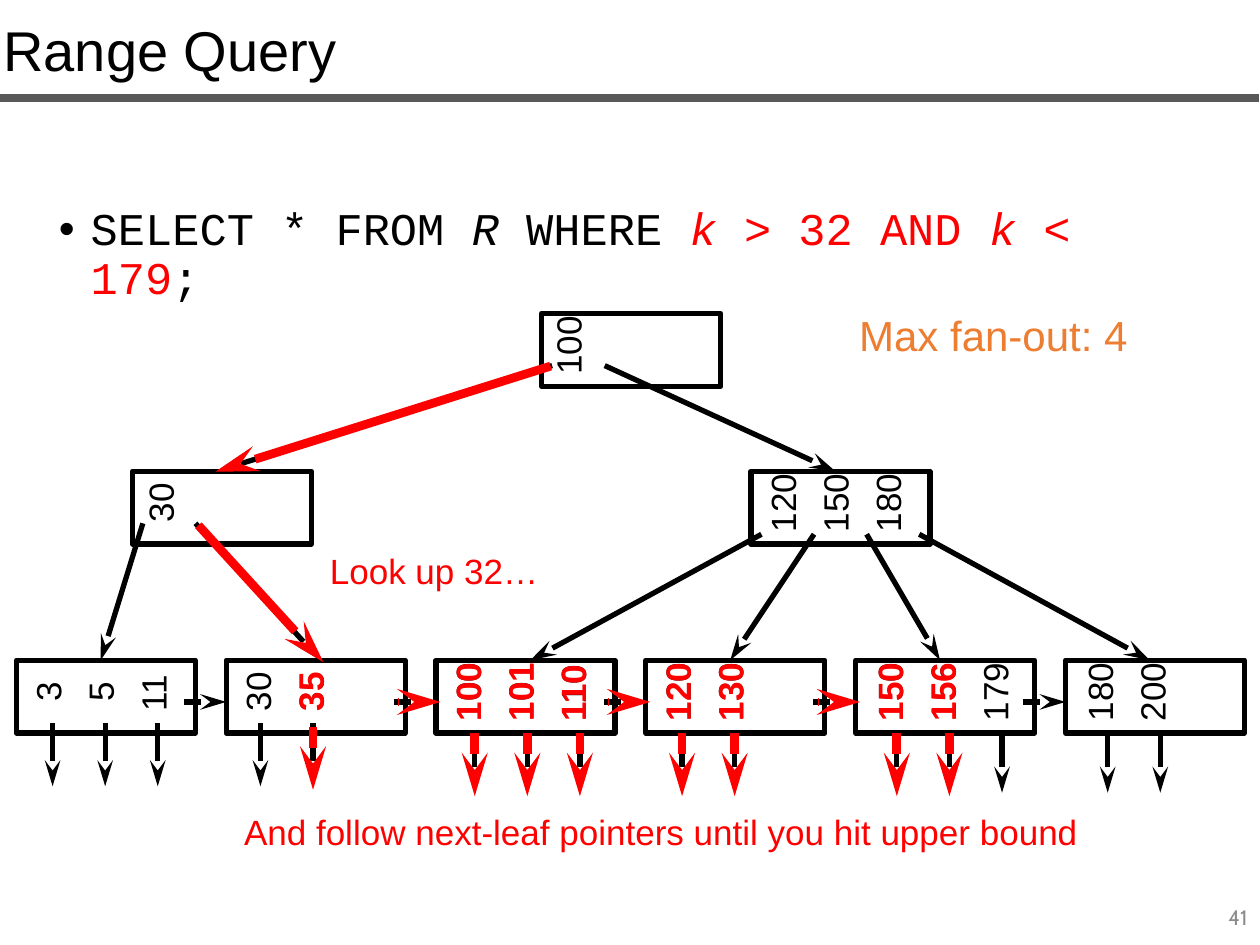
from dataclasses import dataclass

from lxml.etree import SubElement
from pptx import Presentation
from pptx.dml.color import RGBColor
from pptx.enum.shapes import MSO_CONNECTOR, MSO_SHAPE
from pptx.enum.text import MSO_ANCHOR, MSO_AUTO_SIZE, PP_ALIGN
from pptx.oxml.ns import qn
from pptx.util import Cm, Pt

BLACK = RGBColor(0x00, 0x00, 0x00)
RED = RGBColor(0xFF, 0x00, 0x00)
ORANGE = RGBColor(0xED, 0x7D, 0x31)
DARK_GRAY = RGBColor(0x59, 0x59, 0x59)
LIGHT_GRAY = RGBColor(0x8C, 0x8C, 0x8C)

# Tree geometry in centimetres
NODE_WIDTH, NODE_HEIGHT = 3.61, 1.47
KEY_WIDTH, KEY_PITCH = 1.37, 1.06
KEY_HEIGHTS = {1: 0.66, 2: 1.04, 3: 1.45}  # by number of digits
ROOT_TOP, INNER_TOP, LEAF_TOP = 6.32, 9.5, 13.31
LEAF_LEFT, LEAF_PITCH = 0.33, 4.23
NEXT_Y, NEXT_LENGTH = 14.15, 0.85
POINTER_LENGTH = 1.27
THIN, THICK = 3, 5


@dataclass
class Node:
    left: float
    top: float
    keys: tuple[int, ...]
    key_offset: float = 0.76
    entry: float = 1.7         # where the parent's arrow arrives
    exit_drop: float = 1.05    # where child arrows start, below the top
    pointer_offset: float = 0.73
    pointer_top: float = 14.71
    matches: tuple[int, ...] = ()
    children: tuple["Node", ...] = ()


@dataclass
class Label:
    text: str
    left: float
    top: float
    width: float
    height: float
    color: RGBColor
    size: float
    wrap: bool = False


def style_font(font, color: RGBColor, **values) -> None:
    font.color.rgb = color
    for name, value in values.items():
        setattr(font, name, value)


def add_text_box(shapes, left: float, top: float, width: float, height: float, **frame_values):
    box = shapes.add_textbox(Cm(left), Cm(top), Cm(width), Cm(height))
    for name, value in frame_values.items():
        setattr(box.text_frame, name, value)
    return box


def add_label(shapes, label: Label) -> None:
    box = add_text_box(shapes, label.left, label.top, label.width, label.height,
                       word_wrap=label.wrap, auto_size=MSO_AUTO_SIZE.SHAPE_TO_FIT_TEXT)
    span = box.text_frame.paragraphs[0].add_run()
    span.text = label.text
    style_font(span.font, label.color, name="Arial", size=Pt(label.size))


def add_line(shapes, start: tuple[float, float], end: tuple[float, float],
             color: RGBColor, weight: float, arrow: bool = True) -> None:
    line = shapes.add_connector(MSO_CONNECTOR.STRAIGHT, *map(Cm, start + end))
    line.line.color.rgb = color
    line.line.width = Pt(weight)
    if arrow:
        SubElement(line.line._get_or_add_ln(), qn("a:tailEnd"), type="stealth", w="med", len="lg")
    SubElement(line._element.spPr, qn("a:effectLst"))


def add_node_box(shapes, node: Node) -> None:
    box = shapes.add_shape(MSO_SHAPE.RECTANGLE, Cm(node.left), Cm(node.top),
                           Cm(NODE_WIDTH), Cm(NODE_HEIGHT))
    box.shadow.inherit = False
    box.fill.background()
    box.line.color.rgb = BLACK
    box.line.width = Pt(THIN)


def add_key(shapes, node: Node, index: int, color: RGBColor, bold: bool = False) -> None:
    """Write one key upwards inside its node."""
    text = str(node.keys[index])
    height = KEY_HEIGHTS[len(text)]
    center = node.left + node.key_offset + index * KEY_PITCH
    box = add_text_box(shapes, center - KEY_WIDTH / 2, node.top + (NODE_HEIGHT - height) / 2 + 0.02,
                       KEY_WIDTH, height, word_wrap=False,
                       auto_size=MSO_AUTO_SIZE.SHAPE_TO_FIT_TEXT)
    box.rotation = 180
    box.text_frame._txBody.bodyPr.set("vert", "eaVert")
    para = box.text_frame.paragraphs[0]
    para.alignment = PP_ALIGN.CENTER
    span = para.add_run()
    span.text = text
    style_font(span.font, color, name="Arial", size=Pt(20), bold=bold)


def add_child_arrow(shapes, parent: Node, index: int, color: RGBColor, weight: float,
                    shift: tuple[float, float] = (0, 0)) -> None:
    child = parent.children[index]
    across, down = shift
    add_line(shapes,
             (parent.left + 0.21 + index * KEY_PITCH + across, parent.top + parent.exit_drop + down),
             (child.left + child.entry + across, child.top + down), color, weight)


def add_record_pointer(shapes, leaf: Node, index: int, color: RGBColor, weight: float,
                       down: float = 0) -> None:
    x = leaf.left + leaf.pointer_offset + index * KEY_PITCH
    top = leaf.pointer_top + down
    add_line(shapes, (x, top), (x, top + POINTER_LENGTH), color, weight)


def add_next_pointer(shapes, leaf: Node, color: RGBColor, weight: float, across: float = 0) -> None:
    x = leaf.left + LEAF_PITCH - NEXT_LENGTH + across
    add_line(shapes, (x, NEXT_Y), (x + NEXT_LENGTH, NEXT_Y), color, weight)


def add_matches(shapes, leaf: Node) -> None:
    for index in leaf.matches:
        add_key(shapes, leaf, index, RED, bold=True)
        add_record_pointer(shapes, leaf, index, RED, THICK, down=0.07)


def add_query(shapes) -> None:
    box = add_text_box(shapes, 0.94, 4.04, 22.71, 1.57, word_wrap=True)
    para = box.text_frame.paragraphs[0]
    para.line_spacing = 0.9
    properties = para._p.get_or_add_pPr()
    properties.set("marL", str(Cm(0.64)))
    properties.set("indent", str(-Cm(0.64)))
    SubElement(properties, qn("a:buFont"), typeface="Arial")
    SubElement(properties, qn("a:buChar"), char="•")
    for text, color, italic in (
        ("SELECT * FROM ", BLACK, False), ("R", BLACK, True), (" WHERE ", BLACK, False),
        ("k", RED, True), (" > 32 AND ", RED, False), ("k", RED, True),
        (" < 179", RED, False), (";", BLACK, False),
    ):
        span = para.add_run()
        span.text = text
        style_font(span.font, color, name="Courier New", size=Pt(25.9), italic=italic)


def add_page_number(shapes) -> None:
    box = add_text_box(shapes, 19.69, 17.98, 5.71, 1.02, word_wrap=True,
                       vertical_anchor=MSO_ANCHOR.MIDDLE)
    para = box.text_frame.paragraphs[0]
    para.alignment = PP_ALIGN.RIGHT
    span = para.add_run()
    span.text = "41"
    style_font(span.font, LIGHT_GRAY, name="Cabin", size=Pt(12))


def make_leaf(position: int, *keys: int, **values) -> Node:
    return Node(LEAF_LEFT + position * LEAF_PITCH, LEAF_TOP, keys, **values)


def main() -> None:
    deck = Presentation()
    deck.slide_width, deck.slide_height = Cm(25.4), Cm(19.05)
    page = deck.slides.add_slide(deck.slide_layouts[6])
    shapes = page.shapes

    # Tree contents
    leaves = (
        make_leaf(0, 3, 5, 11, pointer_top=14.58),
        make_leaf(1, 30, 35, entry=1.9, pointer_offset=0.69, pointer_top=14.58, matches=(1,)),
        make_leaf(2, 100, 101, 110, entry=1.9, pointer_offset=0.78, matches=(0, 1, 2)),
        make_leaf(3, 120, 130, matches=(0, 1)),
        make_leaf(4, 150, 156, 179, key_offset=0.81, pointer_offset=0.83, matches=(0, 1)),
        make_leaf(5, 180, 200, key_offset=0.81, pointer_offset=0.85),
    )
    low = Node(2.67, INNER_TOP, (30,), key_offset=0.69, children=leaves[:2])
    high = Node(15.14, INNER_TOP, (120, 150, 180), exit_drop=1.27, children=leaves[2:])
    root = Node(10.92, ROOT_TOP, (100,), key_offset=0.66, children=(low, high))
    nodes = (*leaves, low, high, root)

    add_query(shapes)
    add_page_number(shapes)

    # Whole tree in black
    for node in nodes:
        add_node_box(shapes, node)
    for node in nodes:
        for index in range(len(node.keys)):
            add_key(shapes, node, index, BLACK)
    for parent in (root, low, high):
        for index in range(len(parent.children)):
            add_child_arrow(shapes, parent, index, BLACK, THIN)
    for leaf in leaves:
        for index in range(len(leaf.keys)):
            add_record_pointer(shapes, leaf, index, BLACK, THIN)
    for leaf in leaves[:-1]:
        add_next_pointer(shapes, leaf, BLACK, THIN)

    # Search path and matching range in red
    add_child_arrow(shapes, root, 0, RED, THICK, shift=(-0.03, 0.01))
    add_child_arrow(shapes, low, 1, RED, THICK, shift=(0.06, 0.04))
    scan = shapes.add_group_shape().shapes
    for leaf in leaves[1:4]:
        add_next_pointer(scan, leaf, RED, THICK, across=0.09)
    for leaf in leaves[2:5]:
        add_matches(scan, leaf)
    add_matches(shapes.add_group_shape().shapes, leaves[1])

    # Title rule and labels
    add_line(shapes, (0, 1.98), (25.37, 1.98), DARK_GRAY, 4.5, arrow=False)
    for label in (
        Label("Range Query", -0.18, 0.18, 25.58, 1.63, BLACK, 32, wrap=True),
        Label("Max fan-out: 4", 17.07, 6.12, 5.97, 1.27, ORANGE, 24),
        Label("Look up 32…", 6.4, 10.95, 4.75, 1.12, RED, 20),
        Label("And follow next-leaf pointers until you hit upper bound",
              4.67, 16.21, 17.45, 1.12, RED, 20),
    ):
        add_label(shapes, label)

    deck.save("out.pptx")


if __name__ == "__main__":
    main()
